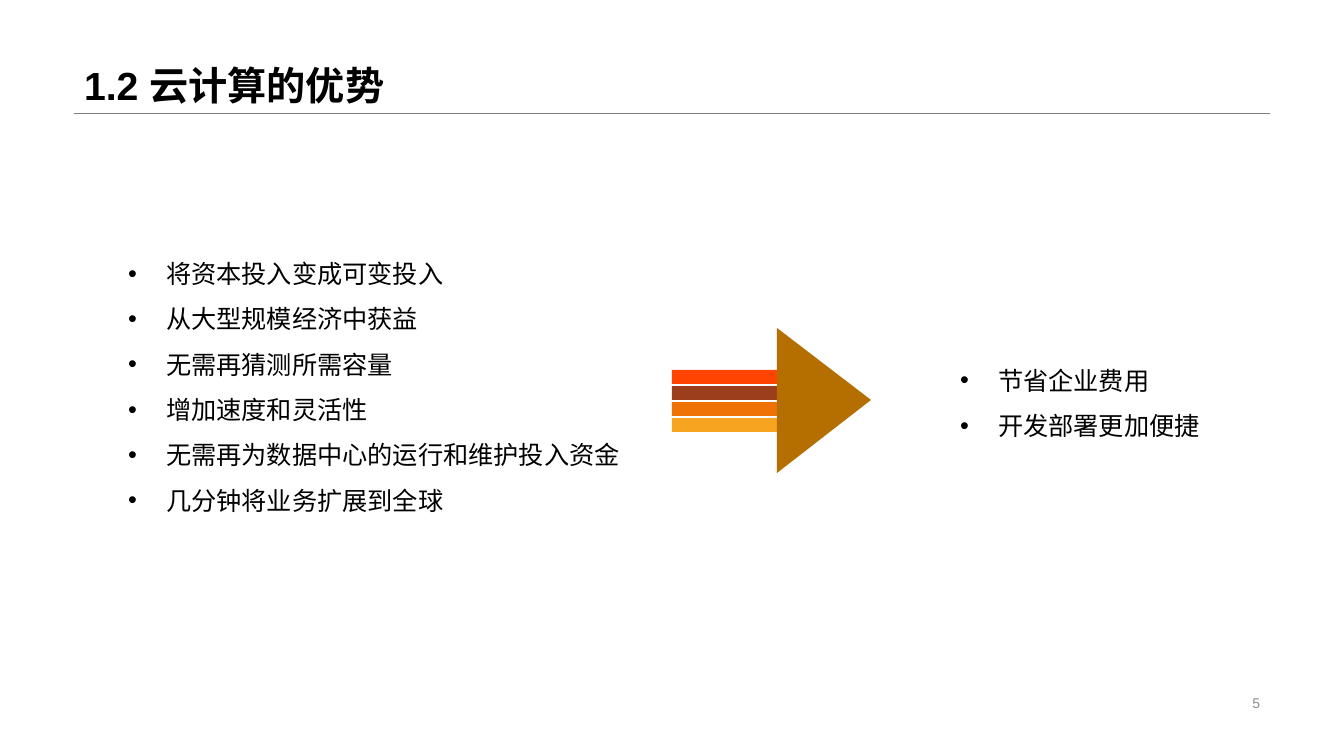
from dataclasses import dataclass

from lxml import etree
from pptx import Presentation
from pptx.dml.color import RGBColor
from pptx.enum.shapes import MSO_CONNECTOR, MSO_SHAPE
from pptx.enum.text import MSO_ANCHOR, MSO_AUTO_SIZE, PP_ALIGN
from pptx.oxml.ns import qn
from pptx.util import Pt

PX = 12192000 / 1344
LEFT, RIGHT = PP_ALIGN.LEFT, PP_ALIGN.RIGHT
TOP, MIDDLE, BOTTOM = MSO_ANCHOR.TOP, MSO_ANCHOR.MIDDLE, MSO_ANCHOR.BOTTOM
FIXED = MSO_AUTO_SIZE.NONE
RECTANGLE = MSO_SHAPE.RECTANGLE
STRAIGHT = MSO_CONNECTOR.STRAIGHT
TWO_LISTS = 3


@dataclass(frozen=True)
class Theme:
    """Colours, fonts and type sizes of the slide."""
    ink: str = "000000"
    rule: str = "808080"
    number: str = "8C8C8C"
    head: str = "B46F00"
    bars: tuple = ("FF4300", "9B3E1B", "EE7206", "F7A521")
    latin: str = "Arial"
    asian: str = "Noto Sans CJK SC"
    title_size: int = 28
    list_size: int = 18
    number_size: int = 10
    spacing: float = 1.5


THEME = Theme()

REASONS = [
    "将资本投入变成可变投入",
    "从大型规模经济中获益",
    "无需再猜测所需容量",
    "增加速度和灵活性",
    "无需再为数据中心的运行和维护投入资金",
    "几分钟将业务扩展到全球",
]
RESULTS = ["节省企业费用", "开发部署更加便捷"]


def px(length):
    """Turn pixels into EMU."""
    return round(length * PX)


def place(shape, box):
    """Move a shape to a box of left, top, width and height."""
    shape.left, shape.top, shape.width, shape.height = map(px, box)


def add_bullet(para, indent):
    """Give a paragraph a round bullet with a hanging indent."""
    properties = para._p.get_or_add_pPr()
    properties.set("marL", str(px(indent)))
    properties.set("indent", str(-px(indent)))
    etree.SubElement(properties, qn("a:buFont")).set("typeface", THEME.latin)
    etree.SubElement(properties, qn("a:buChar")).set("char", "•")


def write(shape, lines, size, color=THEME.ink, font=THEME.latin, bold=False,
          align=LEFT, anchor=TOP, indent=0):
    """Fill a shape with formatted paragraphs."""
    frame = shape.text_frame
    frame.word_wrap = True
    frame.auto_size = FIXED
    frame.vertical_anchor = anchor
    for index, line in enumerate(lines):
        para = frame.add_paragraph() if index else frame.paragraphs[0]
        para.alignment = align
        para.line_spacing = THEME.spacing
        para.space_before = Pt(0)
        if indent:
            add_bullet(para, indent)
        span = para.add_run()
        span.text = line
        span.font.size = Pt(size)
        span.font.bold = bold
        span.font.name = font
        span.font.color.rgb = RGBColor.from_string(color)
        asian = etree.Element(qn("a:ea"))
        asian.set("typeface", THEME.asian)
        span._r.rPr.find(qn("a:latin")).addnext(asian)


def paint(shape, color):
    """Give a shape a plain fill with no outline or shadow."""
    shape.shadow.inherit = False
    shape.fill.solid()
    shape.fill.fore_color.rgb = RGBColor.from_string(color)
    shape.line.fill.background()


def add_title(page, text, box):
    """Set the title with a thin rule along the bottom of its box."""
    left, top, width, height = box
    base = top + height
    rule = page.shapes.add_connector(
        STRAIGHT, px(left), px(base), px(left + width), px(base))
    rule.line.color.rgb = RGBColor.from_string(THEME.rule)
    rule.line.width = Pt(0.25)
    etree.SubElement(rule._element.spPr, qn("a:effectLst"))
    title = page.shapes.title
    place(title, box)
    write(title, [text], THEME.title_size, bold=True, anchor=BOTTOM)


def add_list(body, lines, box):
    """Set a bulleted list in a body placeholder."""
    place(body, box)
    write(body, lines, THEME.list_size, font=THEME.asian, indent=38)


def add_striped_arrow(page, box):
    """Draw a right arrow with a shaft of coloured bars."""
    left, top, width, height = box
    bar_width, bar_height, pitch = 114, 14, 16
    shaft = pitch * (len(THEME.bars) - 1) + bar_height
    first = top + (height - shaft) // 2 + 1
    for index, color in enumerate(THEME.bars):
        bar = page.shapes.add_shape(RECTANGLE, 0, 0, 0, 0)
        place(bar, (left, first + index * pitch, bar_width, bar_height))
        paint(bar, color)
    neck = left + 105
    outline = page.shapes.build_freeform(neck, top, scale=PX)
    outline.add_line_segments(
        [(left + width, top + height / 2), (neck, top + height)], close=True)
    paint(outline.convert_to_shape(), THEME.head)


def add_page_number(page, number, box):
    """Set the page number at the right of its box."""
    label = page.shapes.add_textbox(*map(px, box))
    write(label, [number], THEME.number_size, color=THEME.number,
          align=RIGHT, anchor=MIDDLE)


def main():
    """Build the slide and save it."""
    deck = Presentation()
    deck.slide_width, deck.slide_height = px(1344), px(756)
    page = deck.slides.add_slide(deck.slide_layouts[TWO_LISTS])
    add_title(page, "1.2 云计算的优势", (74, 0, 1196, 113))
    add_list(page.placeholders[1], REASONS, (118, 238, 540, 326))
    add_striped_arrow(page, (672, 328, 199, 145))
    add_list(page.placeholders[2], RESULTS, (950, 345, 373, 97))
    add_page_number(page, "5", (950, 687, 320, 23))
    deck.save("out.pptx")


if __name__ == "__main__":
    main()
